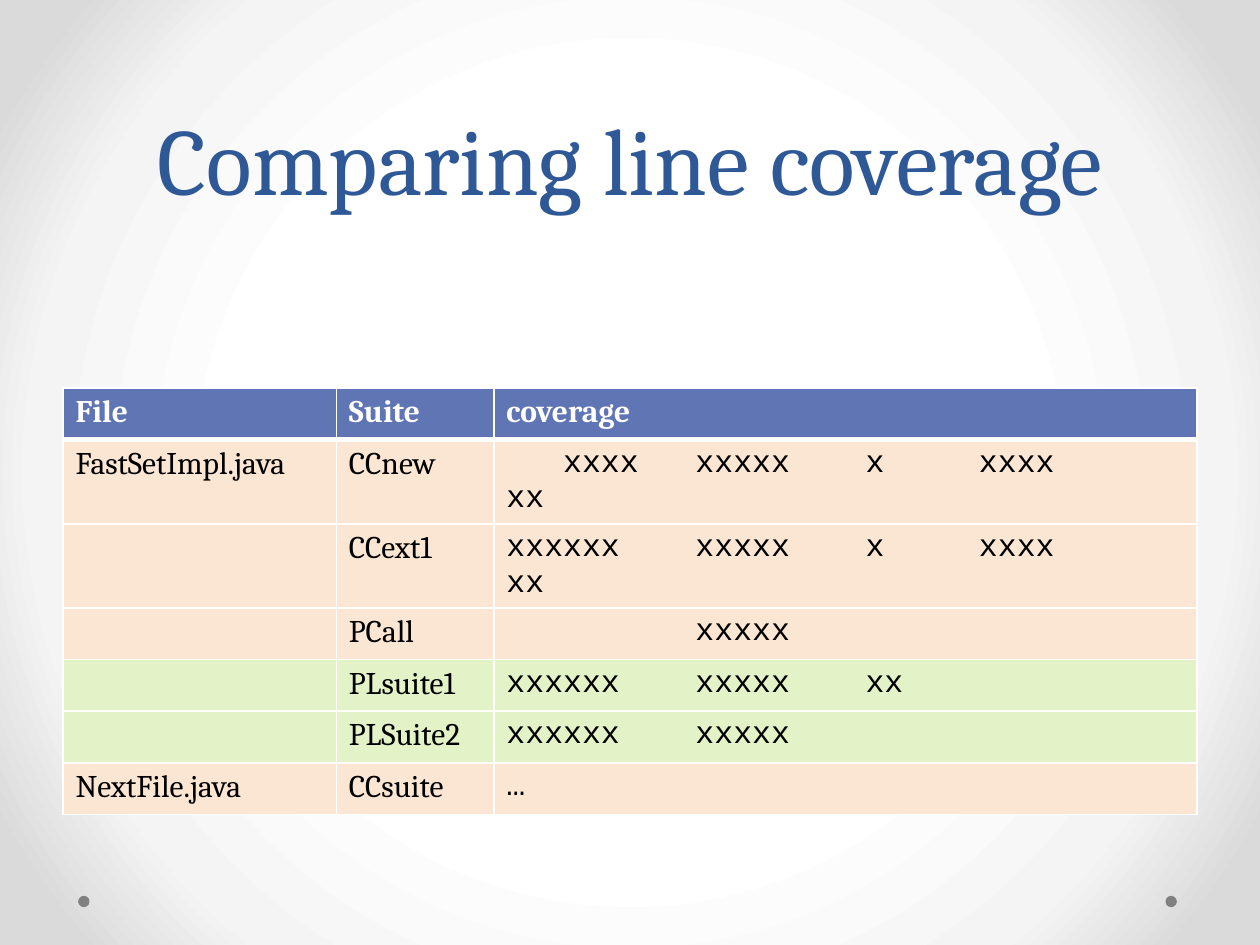
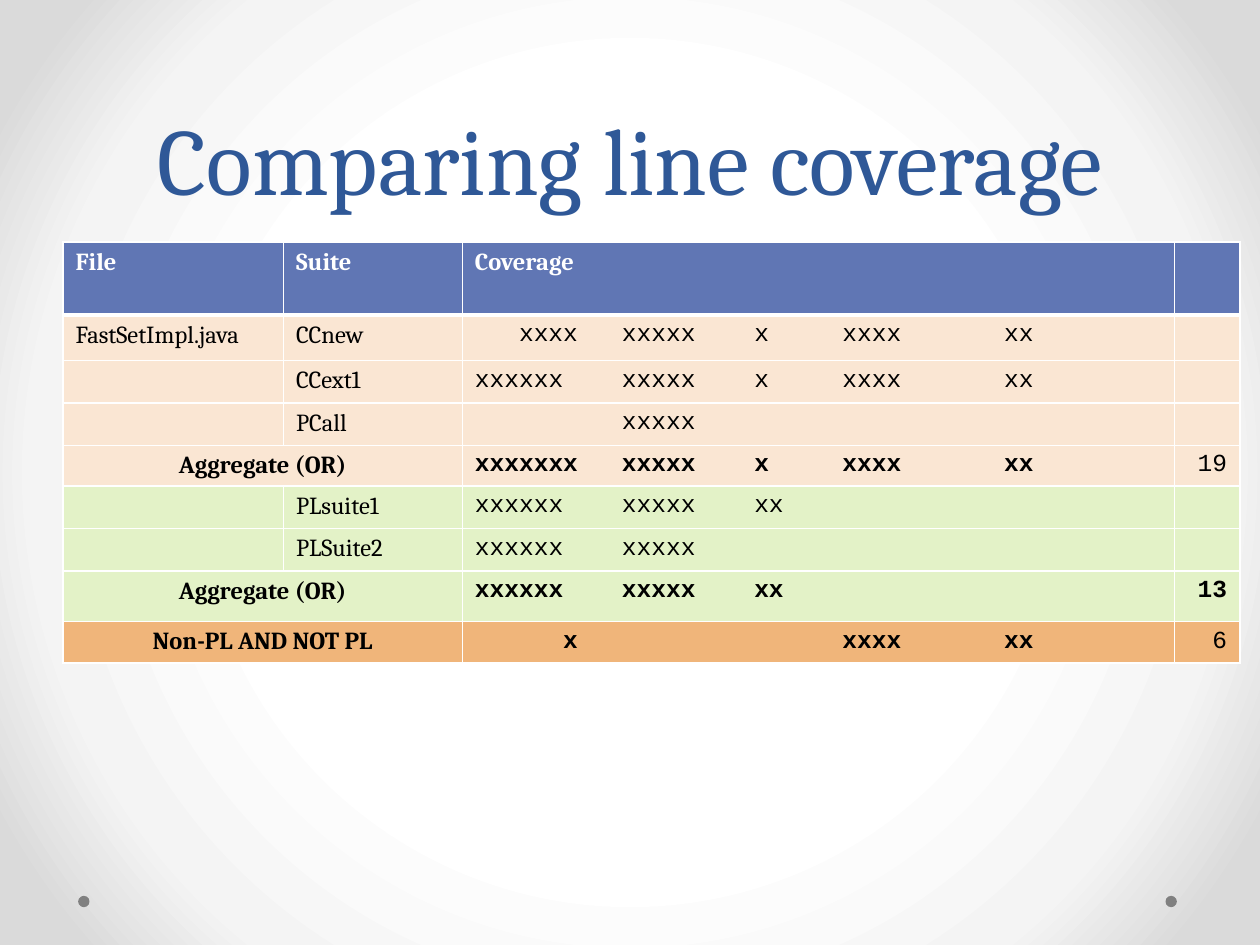
from dataclasses import dataclass, replace

from pptx import Presentation
from pptx.dml.color import RGBColor
from pptx.enum.shapes import MSO_SHAPE as Preset
from pptx.enum.text import MSO_ANCHOR as Anchor, MSO_AUTO_SIZE as AutoSize, PP_ALIGN as Align
from pptx.oxml import parse_xml
from pptx.oxml.ns import nsdecls, qn
from pptx.util import Emu, Inches, Pt

# Shared look
SERIF, MONO = "Cambria", "Courier New"
TITLE_BLUE, HEADER_BLUE, DOT_GREY = "2F5897", "6076B4", "808080"
PEACH, GREEN, ORANGE = "FAE6D3", "E3F2C7", "F0B57A"
WHITE, BLACK = "FFFFFF", "000000"
BACKDROP = ((50, "FFFFFF"), (76, "F4F4F4"), (92, "DADADA"))
WIDTH, HEIGHT = Inches(10), Inches(7.5)
GRID = WIDTH / 100          # one grid step, used across and down
CELL_INSETS = Inches(0.2)   # left and right cell margins together
MONO_ADVANCE = 0.6          # character width as a share of the text size


@dataclass(frozen=True)
class Block:
    """Covered lines: the first character column and how many follow."""
    column: int
    length: int


@dataclass(frozen=True)
class Row:
    file: str
    suite: str
    coverage: str | tuple[Block, ...]
    fill: str
    height: float = 4.1
    count: str = ""
    bold_count: bool = False
    summary: bool = False    # label spans the file and suite columns


@dataclass(frozen=True)
class Report:
    top: float
    columns: tuple[float, ...]
    size: int
    header: tuple[str, ...]
    header_height: float
    rows: tuple[Row, ...]


@dataclass(frozen=True)
class CellStyle:
    size: int
    fill: str
    font: str = SERIF
    color: str = BLACK
    bold: bool = False
    align: Align | None = None
    top_line: int = 1
    bottom_line: int = 1


# Coverage data
FIRST, MIDDLE = Block(0, 6), Block(10, 5)
TAIL = (Block(25, 4), Block(36, 2))
LATER = (MIDDLE, Block(19, 1), *TAIL)

CC_NEW = Row("FastSetImpl.java", "CCnew", (Block(3, 4), *LATER), PEACH)
CC_EXT = Row("", "CCext1", (FIRST, *LATER), PEACH)
PC_ALL = Row("", "PCall", (MIDDLE,), PEACH)
PL_ONE = Row("", "PLsuite1", (FIRST, MIDDLE, Block(19, 2)), GREEN)
PL_TWO = Row("", "PLSuite2", (FIRST, MIDDLE), GREEN)

BY_SUITE = Report(
    top=30.8, columns=(21.7, 12.5, 55.8), size=18,
    header=("File", "Suite", "coverage"), header_height=4.1,
    rows=(CC_NEW, CC_EXT, PC_ALL, PL_ONE, PL_TWO,
          Row("NextFile.java", "CCsuite", "…", PEACH)))

AGGREGATED = Report(
    top=19.2, columns=(17.5, 14.2, 56.5, 5.2), size=14,
    header=("File", "Suite", "Coverage", ""), header_height=5.8,
    rows=(replace(CC_NEW, height=3.6),
          replace(CC_EXT, height=3.1),
          replace(PC_ALL, height=2.3),
          Row("Aggregate (OR)", "", (Block(0, 7), *LATER), PEACH, 3.1, "19", summary=True),
          replace(PL_ONE, height=3.1),
          replace(PL_TWO, height=3.1),
          Row("Aggregate (OR)", "", PL_ONE.coverage, GREEN, 4, "13", True, True),
          Row("Non-PL AND NOT PL", "", (Block(6, 1), *TAIL), ORANGE, 3.3, "6", summary=True)))


# Helpers
def grid(steps: float) -> Emu:
    return Emu(round(steps * GRID))


def rgb(value: str) -> RGBColor:
    return RGBColor.from_string(value)


def format_font(font, color: str, **values) -> None:
    for name, value in values.items():
        setattr(font, name, value)
    font.color.rgb = rgb(color)


def set_backdrop(deck) -> None:
    master = deck.slide_master
    master.background.fill.solid()
    stops = "".join(f'<a:gs pos="{share * 1000}"><a:srgbClr val="{color}"/></a:gs>'
                    for share, color in BACKDROP)
    gradient = parse_xml(
        f'<a:gradFill {nsdecls("a")} rotWithShape="1"><a:gsLst>{stops}</a:gsLst>'
        '<a:path path="circle"><a:fillToRect l="50000" t="50000" r="50000" b="50000"/>'
        '</a:path></a:gradFill>')
    plain = next(master.element.iter(qn("p:bgPr"))).find(qn("a:solidFill"))
    plain.getparent().replace(plain, gradient)


def add_dots(page) -> None:
    for left in (92.5, 6.2):
        dot = page.shapes.add_shape(Preset.OVAL, grid(left), grid(71.1), grid(0.9), grid(0.9))
        dot.shadow.inherit = False
        dot.fill.solid()
        dot.fill.fore_color.rgb = rgb(DOT_GREY)
        dot.line.fill.background()


def set_title(page, text: str) -> None:
    box = page.shapes.title
    for name, value in dict(left=grid(5), top=0, width=grid(90), height=grid(17.5)).items():
        setattr(box, name, value)
    frame = box.text_frame
    frame.text = text
    for name, value in dict(auto_size=AutoSize.NONE, word_wrap=True,
                            vertical_anchor=Anchor.BOTTOM).items():
        setattr(frame, name, value)
    para = frame.paragraphs[0]
    para.alignment, para.line_spacing = Align.CENTER, Pt(58)
    format_font(para.runs[0].font, TITLE_BLUE, name=SERIF, size=Pt(54))


def set_borders(cell, top: int, bottom: int) -> None:
    properties = cell._tc.get_or_add_tcPr()
    for side, points in dict(L=1, R=1, T=top, B=bottom).items():
        properties.append(parse_xml(
            f'<a:ln{side} {nsdecls("a")} w="{Pt(points)}"><a:solidFill>'
            f'<a:srgbClr val="{WHITE}"/></a:solidFill></a:ln{side}>'))


def fill_cell(cell, text: str, style: CellStyle, stops: tuple[int, ...] = ()) -> None:
    set_borders(cell, style.top_line, style.bottom_line)
    cell.fill.solid()
    cell.fill.fore_color.rgb = rgb(style.fill)
    para = cell.text_frame.paragraphs[0]
    para.text = text
    para.alignment = style.align
    if stops:
        tabs = "".join(f'<a:tab pos="{stop}" algn="l"/>' for stop in stops)
        para._p.get_or_add_pPr().append(
            parse_xml(f'<a:tabLst {nsdecls("a")}>{tabs}</a:tabLst>'))
    for span in para.runs:
        format_font(span.font, style.color, name=style.font,
                    size=Pt(style.size), bold=style.bold)
    if not text:  # keeps an empty cell from stretching its row
        para._p.get_or_add_endParaRPr().set("sz", str(style.size * 100))


def lay_out(coverage: str | tuple[Block, ...], size: int,
            width: int) -> tuple[str, tuple[int, ...]]:
    """Return the coverage text and its tab stops; a block that will not fit wraps."""
    if isinstance(coverage, str):
        return coverage, ()
    advance = MONO_ADVANCE * Pt(size)
    text, stops = "", []
    for block in coverage:
        if (block.column + block.length) * advance > width:
            text += "\v"
        elif block.column:
            text += "\t"
            stops.append(round(block.column * advance))
        text += "x" * block.length
    return text, tuple(stops)


def add_report(page, report: Report) -> None:
    heights = [report.header_height, *(row.height for row in report.rows)]
    table = page.shapes.add_table(
        len(heights), len(report.columns), grid(5), grid(report.top),
        grid(sum(report.columns)), grid(sum(heights))).table
    table.first_row = table.horz_banding = False
    for column, width in zip(table.columns, report.columns):
        column.width = grid(width)
    for line, height in zip(table.rows, heights):
        line.height = grid(height)

    # Header
    header_style = CellStyle(report.size, HEADER_BLUE, color=WHITE, bold=True, bottom_line=3)
    for index, label in enumerate(report.header):
        fill_cell(table.cell(0, index), label, header_style)

    # Suites and their totals
    room = grid(report.columns[2]) - CELL_INSETS
    for number, row in enumerate(report.rows, start=1):
        style = CellStyle(report.size, row.fill, bold=row.summary,
                          top_line=3 if number == 1 else 1)
        label_style = replace(style, align=Align.CENTER) if row.summary else style
        fill_cell(table.cell(number, 0), row.file, label_style)
        fill_cell(table.cell(number, 1), row.suite, style)
        if row.summary:
            table.cell(number, 0).merge(table.cell(number, 1))
        text, stops = lay_out(row.coverage, report.size, room)
        fill_cell(table.cell(number, 2), text, replace(style, font=MONO), stops)
        if len(report.columns) > 3:
            fill_cell(table.cell(number, 3), row.count,
                      replace(style, font=MONO, bold=row.bold_count, align=Align.RIGHT))


def main() -> None:
    deck = Presentation()
    deck.slide_width, deck.slide_height = WIDTH, HEIGHT
    set_backdrop(deck)
    for report in (BY_SUITE, AGGREGATED):
        page = deck.slides.add_slide(deck.slide_layouts.get_by_name("Title Only"))
        add_dots(page)
        set_title(page, "Comparing line coverage")
        add_report(page, report)
    deck.save("out.pptx")


if __name__ == "__main__":
    main()
